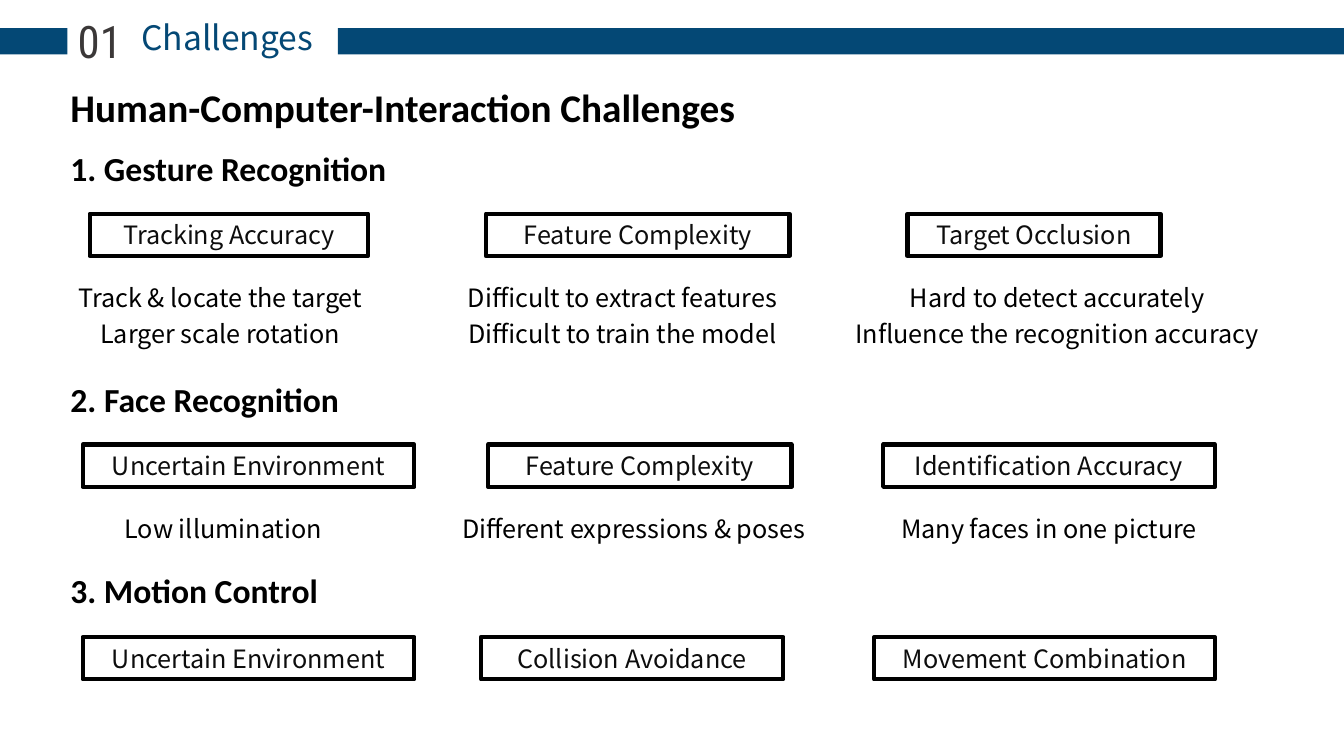
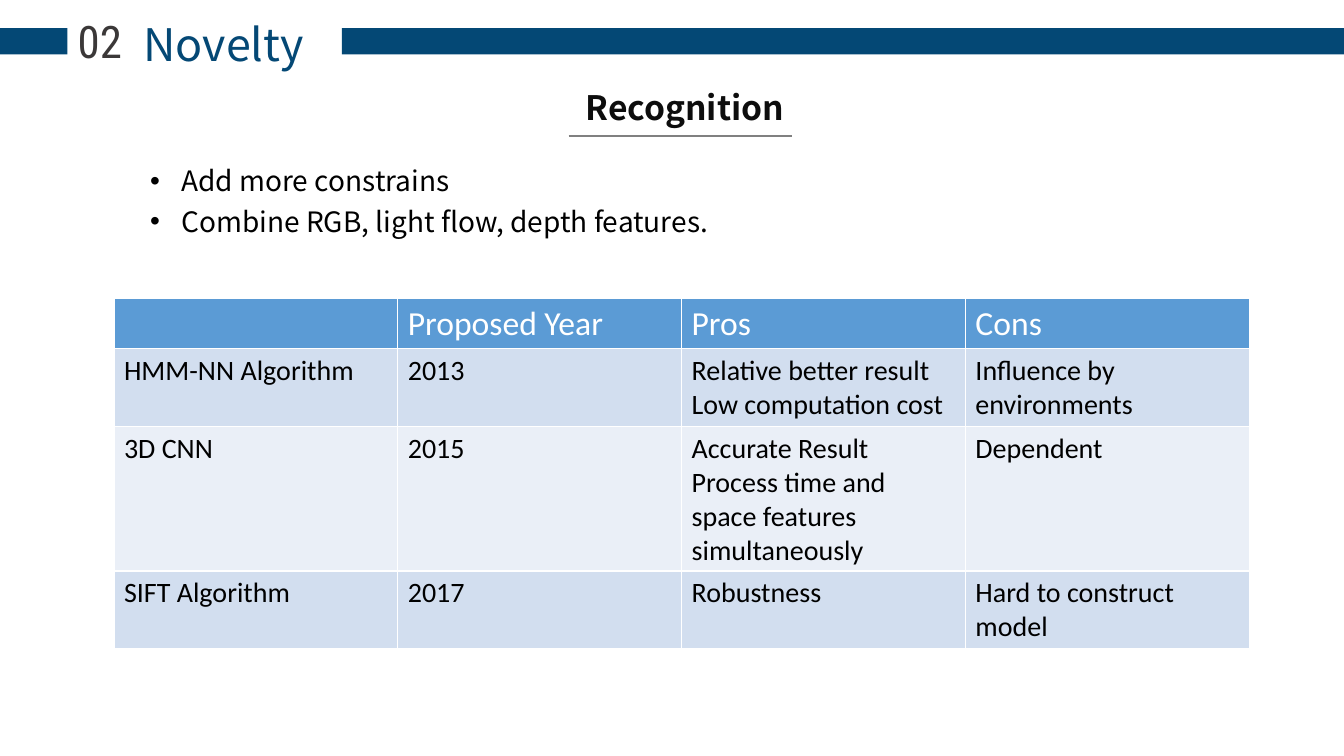
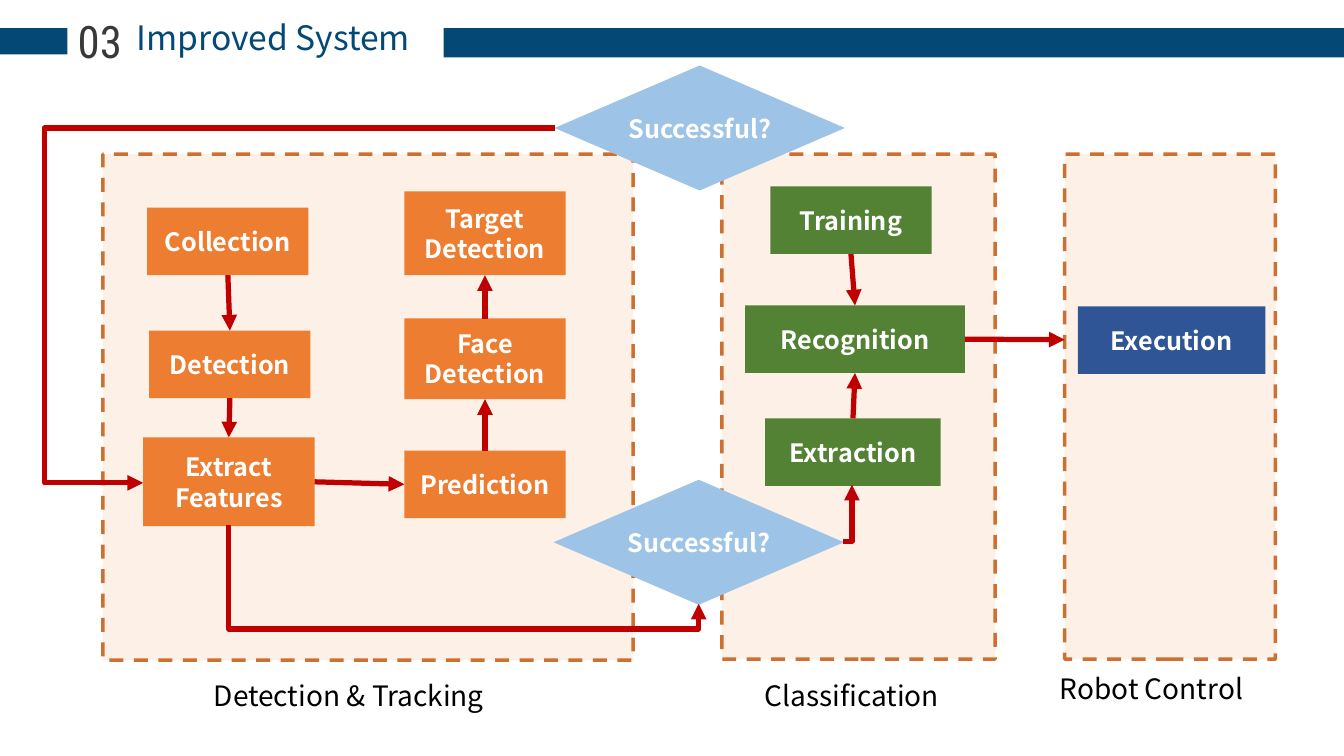
"""Build three slides on challenges, novelty and an improved system."""
from dataclasses import dataclass, replace

from lxml.etree import SubElement
from pptx import Presentation
from pptx.dml.color import RGBColor
from pptx.enum.dml import MSO_LINE
from pptx.enum.shapes import MSO_CONNECTOR, MSO_SHAPE
from pptx.enum.text import MSO_ANCHOR, PP_ALIGN
from pptx.oxml.ns import qn
from pptx.shapes.autoshape import Shape
from pptx.shapes.connector import Connector
from pptx.slide import Slide
from pptx.text.text import TextFrame
from pptx.util import Inches, Pt

RECT, DIAMOND = MSO_SHAPE.RECTANGLE, MSO_SHAPE.DIAMOND
STRAIGHT, ELBOW = MSO_CONNECTOR.STRAIGHT, MSO_CONNECTOR.ELBOW
LEFT, CENTER = PP_ALIGN.LEFT, PP_ALIGN.CENTER
MIDDLE = MSO_ANCHOR.MIDDLE
DASH = MSO_LINE.DASH
TOP, WEST, BASE, EAST = range(4)
WIDE = 13.33
SANS, BODY, THIN = "Noto Sans CJK SC", "Calibri", "Roboto Condensed"
HUES = {
    "navy": "044875", "grey": "3B3838", "ink": "0D0D0D", "black": "000000",
    "white": "FFFFFF", "rule": "808080", "head": "5B9BD5", "odd": "D2DEEF",
    "even": "EAEFF7", "peach": "FBE5D6", "rust": "C55A11", "orange": "ED7D31",
    "green": "548235", "blue": "2F5597", "sky": "9DC3E6", "red": "C00000",
}


@dataclass(frozen=True)
class Style:
    """Look of a piece of text."""
    size: float
    hue: str = "black"
    font: str = SANS
    bold: bool = False
    align: PP_ALIGN = CENTER
    space: float | None = None


@dataclass(frozen=True)
class Box:
    """Place of an item, in inches."""
    x: float
    y: float
    w: float
    h: float


@dataclass(frozen=True)
class Head:
    """Number, title and band of a slide."""
    num: str
    title: str
    size: float
    left: float
    width: float
    band: float
    deep: float = 0.26


@dataclass(frozen=True)
class Card:
    """Framed term with an optional note below."""
    x: float
    w: float
    term: str
    note: str = ""
    left: float = 0
    width: float = 3.79


@dataclass(frozen=True)
class Part:
    """Topic with its row of cards."""
    title: str
    y: float
    width: float
    row: float
    cards: tuple[Card, ...]


@dataclass(frozen=True)
class Node:
    """Step of the flow chart."""
    box: Box
    text: str
    hue: str
    form: MSO_SHAPE = RECT


TERM = Style(18, "ink")
NOTE = Style(18, space=1.2)
TOPIC = Style(24, font=BODY, bold=True, align=LEFT)
STEP = Style(18, "white", bold=True)
LABEL = Style(20)
LIST = Style(20, align=LEFT, space=1.2)
CELL = Style(20, font=BODY, align=LEFT)

PARTS = (
    Part("1. Gesture Recognition", 1.42, 5.63, 2.12, (
        Card(0.89, 2.76, "Tracking Accuracy",
             "Track & locate the target\nLarger scale rotation", 0.29),
        Card(4.82, 3.01, "Feature Complexity",
             "Difficult to extract features\nDifficult to train the model", 4.28),
        Card(9, 2.51, "Target Occlusion",
             "Hard to detect accurately\nInfluence the recognition accuracy",
             8.27, 4.43))),
    Part("2. Face Recognition", 3.71, 3.29, 4.41, (
        Card(0.82, 3.29, "Uncertain Environment", "Low illumination", 0.32),
        Card(4.84, 3.01, "Feature Complexity",
             "Different expressions & poses", 4.39),
        Card(8.76, 3.29, "Identification Accuracy",
             "Many faces in one picture", 8.51))),
    Part("3. Motion Control", 5.6, 2.76, 6.32, (
        Card(0.82, 3.29, "Uncertain Environment"),
        Card(4.77, 3, "Collision Avoidance"),
        Card(8.67, 3.38, "Movement Combination"))),
)

ROWS = (
    ("", "Proposed Year", "Pros", "Cons"),
    ("HMM-NN Algorithm", "2013",
     "Relative better result\nLow computation cost", "Influence by environments"),
    ("3D CNN", "2015",
     "Accurate Result\nProcess time and space features simultaneously", "Dependent"),
    ("SIFT Algorithm", "2017", "Robustness", "Hard to construct model"),
)
TALL = (0.5, 0.77, 1.43, 0.77)

PANELS = (Box(1.02, 1.53, 5.26, 5.02), Box(7.16, 1.53, 2.71, 5.01),
          Box(10.56, 1.53, 2.09, 5.01))
NAMES = (("Detection & Tracking", 1.66, 6.68), ("Classification", 6.65, 6.68),
         ("Robot Control", 9.62, 6.61))
NODES = {
    "collect": Node(Box(1.46, 2.06, 1.6, 0.67), "Collection", "orange"),
    "detect": Node(Box(1.48, 3.28, 1.6, 0.67), "Detection", "orange"),
    "extract": Node(Box(1.42, 4.34, 1.7, 0.88), "Extract\nFeatures", "orange"),
    "predict": Node(Box(4.01, 4.47, 1.6, 0.67), "Prediction", "orange"),
    "face": Node(Box(4.01, 3.16, 1.6, 0.8), "Face Detection", "orange"),
    "target": Node(Box(4.01, 1.9, 1.6, 0.83), "Target\nDetection", "orange"),
    "train": Node(Box(7.64, 1.85, 1.6, 0.67), "Training", "green"),
    "know": Node(Box(7.39, 3.03, 2.18, 0.67), "Recognition", "green"),
    "draw": Node(Box(7.59, 4.15, 1.74, 0.67), "Extraction", "green"),
    "run": Node(Box(10.69, 3.04, 1.86, 0.67), "Execution", "blue"),
    "low": Node(Box(5.49, 4.76, 2.88, 1.24), "Successful?", "sky", DIAMOND),
    "high": Node(Box(5.5, 0.65, 2.88, 1.24), "Successful?", "sky", DIAMOND),
}
LINKS = (
    ("collect", BASE, "detect", TOP), ("detect", BASE, "extract", TOP),
    ("extract", EAST, "predict", WEST), ("predict", TOP, "face", BASE),
    ("face", TOP, "target", BASE), ("train", BASE, "know", TOP),
    ("draw", TOP, "know", BASE),
)


def tint(hue: str) -> RGBColor:
    """Give the colour of a named hue."""
    return RGBColor.from_string(HUES[hue])


def write(frame: TextFrame, text: str, style: Style) -> None:
    """Fill a frame with text and format its runs."""
    frame.text = text
    for para in frame.paragraphs:
        para.alignment = style.align
        if style.space:
            para.line_spacing = style.space
        for run in para.runs:
            run.font.name = style.font
            run.font.size = Pt(style.size)
            run.font.bold = style.bold
            run.font.color.rgb = tint(style.hue)


def label(slide: Slide, box: Box, text: str, style: Style) -> TextFrame:
    """Add a text box."""
    item = slide.shapes.add_textbox(
        Inches(box.x), Inches(box.y), Inches(box.w), Inches(box.h))
    item.text_frame.word_wrap = True
    write(item.text_frame, text, style)
    return item.text_frame


def block(slide: Slide, box: Box, fill: str = "", line: str = "",
          width: float = 0, form: MSO_SHAPE = RECT) -> Shape:
    """Add a flat shape."""
    item = slide.shapes.add_shape(
        form, Inches(box.x), Inches(box.y), Inches(box.w), Inches(box.h))
    item.shadow.inherit = False
    if fill:
        item.fill.solid()
        item.fill.fore_color.rgb = tint(fill)
    else:
        item.fill.background()
    if line:
        item.line.color.rgb = tint(line)
        item.line.width = Pt(width)
    else:
        item.line.fill.background()
    return item


def lettered(item: Shape, text: str, style: Style, wrap: bool = True) -> None:
    """Set centred text inside a shape."""
    frame = item.text_frame
    frame.word_wrap = wrap
    frame.vertical_anchor = MIDDLE
    write(frame, text, style)


def stroke(slide: Slide, start: tuple[float, float], end: tuple[float, float],
           hue: str, width: float, form: MSO_CONNECTOR = STRAIGHT) -> Connector:
    """Add a flat connector."""
    item = slide.shapes.add_connector(
        form, *(Inches(value) for value in (*start, *end)))
    item.line.color.rgb = tint(hue)
    item.line.width = Pt(width)
    SubElement(item._element.spPr, qn("a:effectLst"))
    return item


def arrow(slide: Slide, start: tuple[float, float], end: tuple[float, float],
          form: MSO_CONNECTOR = STRAIGHT) -> Connector:
    """Add a red arrow."""
    item = stroke(slide, start, end, "red", 3.75, form)
    SubElement(item.line._get_or_add_ln(), qn("a:tailEnd"), type="triangle")
    return item


def bend(slide: Slide, start: tuple[float, float], end: tuple[float, float],
         shift: float = 0, turn: int = 0) -> None:
    """Add an elbow arrow, with one corner if it has no shift."""
    props = arrow(slide, start, end, ELBOW)._element.spPr
    geom = props.find(qn("a:prstGeom"))
    if shift:
        SubElement(geom.find(qn("a:avLst")), qn("a:gd"), name="adj1",
                   fmla=f"val {round(shift * 100000)}")
    else:
        geom.set("prst", "bentConnector2")
    if turn:
        props.find(qn("a:xfrm")).set("rot", str(turn * 60000))


def begin(deck: Presentation, head: Head) -> Slide:
    """Add a slide with its bands, number and title."""
    slide = deck.slides.add_slide(deck.slide_layouts[6])
    block(slide, Box(0, 0.28, 0.67, 0.26), "navy")
    block(slide, Box(head.band, 0.28, WIDE - head.band, head.deep), "navy")
    label(slide, Box(head.left, 0.12, head.width, head.size / 56 + 0.07),
          head.title, Style(head.size, "navy"))
    label(slide, Box(0.6, 0.09, 0.78, 0.64), head.num, Style(32, "grey", THIN))
    return slide


def issues(deck: Presentation) -> None:
    """Draw the challenges."""
    slide = begin(deck, Head("01", "Challenges", 24, 0.7, 3.11, 3.35))
    label(slide, Box(0.6, 0.78, 6.88, 0.57),
          "Human-Computer-Interaction Challenges", replace(TOPIC, size=28))
    for part in PARTS:
        label(slide, Box(0.6, part.y, part.width, 0.5), part.title, TOPIC)
        for card in part.cards:
            frame = block(slide, Box(card.x, part.row, card.w, 0.42),
                          line="black", width=3)
            lettered(frame, card.term, TERM)
            if card.note:
                deep = 0.8 if "\n" in card.note else 0.43
                label(slide, Box(card.left, part.row + 0.57, card.width, deep),
                      card.note, NOTE)


def grid(slide: Slide) -> None:
    """Draw the table of methods."""
    table = slide.shapes.add_table(
        len(ROWS), len(ROWS[0]), Inches(1.13), Inches(2.96),
        Inches(11.26), Inches(sum(TALL))).table
    for row, (texts, tall) in enumerate(zip(ROWS, TALL)):
        table.rows[row].height = Inches(tall)
        fill = ("odd" if row % 2 else "even") if row else "head"
        style = CELL if row else replace(CELL, size=24, hue="white")
        for col, text in enumerate(texts):
            cell = table.cell(row, col)
            props = cell._tc.get_or_add_tcPr()
            for side in "LRTB":
                edge = SubElement(props, qn(f"a:ln{side}"), w=str(Pt(1)))
                paint = SubElement(edge, qn("a:solidFill"))
                SubElement(paint, qn("a:srgbClr"), val=HUES["white"])
            cell.fill.solid()
            cell.fill.fore_color.rgb = tint(fill)
            write(cell.text_frame, text, style)


def novel(deck: Presentation) -> None:
    """Draw the novelty slide."""
    slide = begin(deck, Head("02", "Novelty", 32, 0.7, 3.04, 3.39))
    grid(slide)
    frame = label(slide, Box(1.39, 1.51, 10.59, 0.91),
                  "Add more constrains\nCombine RGB, light flow, depth features.",
                  LIST)
    for para in frame.paragraphs:
        props = para._p.get_or_add_pPr()
        props.set("marL", str(Inches(0.31)))
        props.set("indent", str(-Inches(0.31)))
        SubElement(props, qn("a:buFont"), typeface="Arial")
        SubElement(props, qn("a:buChar"), char="•")
    label(slide, Box(5.71, 0.81, 5.43, 0.5), "Recognition",
          Style(24, "ink", bold=True, align=LEFT))
    stroke(slide, (5.64, 1.35), (7.86, 1.35), "rule", 1.75)


def system(deck: Presentation) -> None:
    """Draw the flow chart of the system."""
    slide = begin(deck, Head("03", "Improved System", 24, 1.02, 3.38, 4.4, 0.29))
    for box in PANELS:
        panel = block(slide, box, "peach", "rust", 2.5)
        panel.line.dash_style = DASH
        paints = panel._element.spPr.iter(qn("a:srgbClr"))
        for paint, share in zip(list(paints), (57, 86)):
            SubElement(paint, qn("a:alpha"), val=str(share * 1000))
    for text, left, top in NAMES:
        label(slide, Box(left, top, 3.6, 0.44), text, LABEL)
    steps = {}
    for key, node in NODES.items():
        steps[key] = block(slide, node.box, node.hue, form=node.form)
        lettered(steps[key], node.text, STEP, node.form == RECT)
    for first, out, last, into in LINKS:
        link = arrow(slide, (0, 0), (1, 1))
        link.begin_connect(steps[first], out)
        link.end_connect(steps[last], into)
    link = arrow(slide, (9.57, 3.37), (10.56, 3.37))
    link.begin_connect(steps["know"], EAST)
    bend(slide, (5.5, 1.27), (1.42, 4.79), 1.24)
    bend(slide, (4.99, 3.27), (4.21, 7.93), 1.32, 270)
    bend(slide, (8.36, 5.37), (8.45, 4.81))


def main() -> None:
    """Build and save the deck."""
    deck = Presentation()
    deck.slide_width, deck.slide_height = Inches(WIDE), Inches(7.5)
    for draw in (issues, novel, system):
        draw(deck)
    deck.save("out.pptx")


if __name__ == "__main__":
    main()
